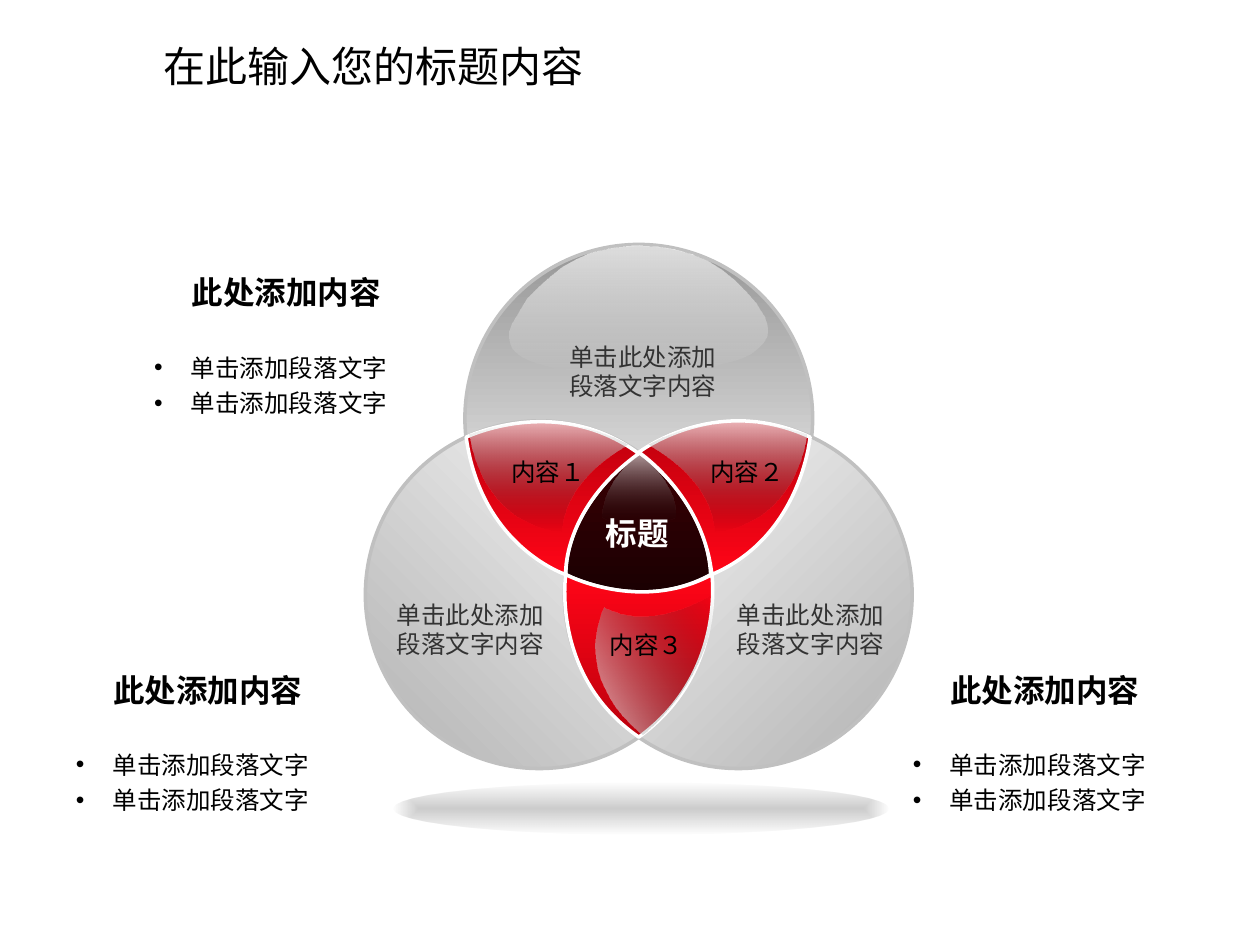
from lxml.etree import SubElement as Sub
from pptx import Presentation
from pptx.dml.color import RGBColor as Rgb
from pptx.enum.shapes import MSO_SHAPE as Preset
from pptx.enum.text import MSO_AUTO_SIZE as AutoSize, PP_ALIGN as Align
from pptx.oxml.ns import qn
from pptx.util import Inches, Pt

COLUMNS, ROWS = 100, 75
CELL = Inches(10) // COLUMNS
AXIS = 50.65
FONT = "Arial"
COLORS = {
    "white": "FFFFFF", "black": "000000", "text": "333333", "rim": "C0C0C0",
    "gray": "969696", "silver": "B2B2B2", "red": "FF0517", "crimson": "BC000D",
    "maroon": "3A0004", "night": "1B0002",
}
DISC = 27.6
DISCS = [
    (36.9, 19.4, "gray", "white", 90),
    (29, 33.4, "silver", "white", 315),
    (44.8, 33.4, "white", "silver", 45),
]
PETALS = [
    ("maroon", "night", [
        (50.7, 35.9), (50.7, 35.9, 56.1, 39.6, 56.4, 45.6),
        (50.8, 48.7, 44.9, 45.6, 44.9, 45.6),
        (45, 39.8, 50.7, 35.9, 50.7, 35.9)]),
    ("crimson", "red", [
        (50.7, 35.9), (50.7, 35.9, 56.8, 31.2, 64.3, 34.7),
        (64.3, 34.7, 63.6, 42.6, 56.5, 45.6),
        (55.8, 39.3, 50.7, 35.9, 50.7, 35.9)]),
    ("crimson", "red", [
        (44.9, 45.6), (44.9, 45.6, 38.2, 43.4, 37, 34.7),
        (37, 34.7, 44.2, 31.2, 50.7, 36),
        (44.6, 40.4, 44.9, 45.6, 44.9, 45.6)]),
    ("red", "crimson", [
        (44.9, 45.6), (44.9, 45.6, 50.8, 48.7, 56.5, 45.6),
        (56.5, 45.6, 57.6, 53.5, 50.7, 58.5),
        (43.7, 53.7, 44.9, 45.6, 44.9, 45.6)]),
]
DOME = [
    (60.6, 25.1), (60.8, 25.7), (60.9, 26.2), (60.8, 26.7), (60.5, 27.2),
    (60.1, 27.6), (59.6, 28), (59, 28.3), (58.2, 28.6), (57.3, 28.8),
    (56.4, 29.1), (55.4, 29.2), (54.3, 29.4), (53.2, 29.5), (52.7, 29.5),
    (47.8, 29.5), (46.7, 29.4), (45.8, 29.4), (44.9, 29.3), (44, 29.2),
    (43.3, 29), (42.6, 28.8), (42, 28.6), (41.4, 28.3), (41, 28),
    (40.7, 27.7), (40.5, 27.3), (40.4, 26.8), (40.4, 26.3), (40.6, 25.7),
    (41.2, 24.7), (41.8, 23.7), (42.7, 22.8), (43.6, 22), (44.6, 21.2),
    (45.7, 20.6), (46.8, 20.1), (48.1, 19.8), (49.4, 19.6), (50.7, 19.5),
    (52.2, 19.6), (53.5, 19.8), (54.9, 20.2), (56.1, 20.7), (57.2, 21.4),
    (58.2, 22.2), (59.1, 23.1), (59.9, 24)]
CENTER_GLOSS = [
    (50.7, 36.1), (50.7, 36.1, 47.9, 37.9, 47.8, 41),
    (50.6, 42.6, 53.6, 41, 53.6, 41),
    (53.6, 38, 50.7, 36.1, 50.7, 36.1)]
WING_GLOSS = [
    (44.6, 42.2), (42.5, 42, 38.4, 40.7, 37.3, 34.5),
    (37.3, 34.5, 43.9, 31.9, 49.8, 35.3),
    (44.3, 38.4, 44.6, 42.2, 44.6, 42.2)]
LOWER_GLOSS = [
    (48, 48.2), (47.1, 50.1, 46.2, 54.3, 51, 58.3),
    (51, 58.3, 56.6, 53.9, 56.6, 47.1),
    (51.1, 50.4, 48, 48.2, 48, 48.2)]
CAPTIONS = [(57.5, 47.1), (30.5, 47.1), (44.2, 26.64)]
OVERLAPS = [("内容１", 39.6, 35.75), ("内容２", 55.4, 35.75), ("内容３", 47.4, 49.5)]
NOTES = [(11.36, 21.2, 27.04), (5.15, 52.74, 58.54), (71.56, 52.74, 58.54)]


def cells(*values):
    """Convert grid cells to lengths."""
    return [round(value * CELL) for value in values]


def paint_gradient(shape, stops, angle=None):
    """Fill a shape with (color, opacity) stops, linear or from the center."""
    shape.fill.background()
    blank = shape.element.spPr.find(qn("a:noFill"))
    grad = blank.makeelement(qn("a:gradFill"), {"rotWithShape": "1"})
    blank.getparent().replace(blank, grad)
    listing = Sub(grad, qn("a:gsLst"))
    for position, (name, opacity) in zip((0, 100000), stops):
        stop = Sub(listing, qn("a:gs"), pos=str(position))
        color = Sub(stop, qn("a:srgbClr"), val=COLORS[name])
        if opacity < 100:
            Sub(color, qn("a:alpha"), val=str(opacity * 1000))
    if angle is None:
        route = Sub(grad, qn("a:path"), path="rect")
        Sub(route, qn("a:fillToRect"), l="50000", t="50000", r="50000", b="50000")
    else:
        Sub(grad, qn("a:lin"), ang=str(angle * 60000), scaled="0")


def finish(shape, stops, angle=None, edge=None):
    """Set gradient, outline and no shadow."""
    shape.shadow.inherit = False
    paint_gradient(shape, stops, angle)
    if edge:
        shape.line.color.rgb = Rgb.from_string(COLORS[edge])
        shape.line.width = Pt(2)
    else:
        shape.line.fill.background()


def add_ellipse(page, left, top, width, height, *style):
    """Add a gradient ellipse."""
    box = cells(left, top, width, height)
    finish(page.shapes.add_shape(Preset.OVAL, *box), *style)


def pairs(segment):
    """Split a flat run of coordinates into points."""
    return list(zip(segment[::2], segment[1::2]))


def extent(segments):
    """Find the top left and bottom right of an outline."""
    points = [segments[0]]
    for segment in segments[1:]:
        corners = [points[-1], *pairs(segment)]
        if len(corners) == 2:
            points += corners[1:]
            continue
        for step in range(1, 17):
            t = step / 16
            u = 1 - t
            weights = (u ** 3, 3 * u * u * t, 3 * u * t * t, t ** 3)
            points.append(tuple(sum(w * v for w, v in zip(weights, axis))
                                for axis in zip(*corners)))
    return [tuple(cells(*map(pick, zip(*points)))) for pick in (min, max)]


def add_outline(page, segments, *style):
    """Add a closed gradient outline of straight and cubic segments."""
    (left, top), (right, bottom) = extent(segments)
    builder = page.shapes.build_freeform(left, top)
    builder.add_line_segments([(right, bottom)], close=False)
    shape = builder.convert_to_shape()
    route = next(shape.element.iter(qn("a:path")))
    for part in list(route):
        route.remove(part)
    kinds = {2: "a:lnTo", 6: "a:cubicBezTo"}
    for index, segment in enumerate(segments):
        part = Sub(route, qn(kinds[len(segment)] if index else "a:moveTo"))
        for point in pairs(segment):
            x, y = cells(*point)
            Sub(part, qn("a:pt"), x=str(x - left), y=str(y - top))
    Sub(route, qn("a:close"))
    finish(shape, *style)


def mirror(segments):
    """Reflect an outline about the vertical axis."""
    return [tuple(value if index % 2 else 2 * AXIS - value
                  for index, value in enumerate(segment)) for segment in segments]


def add_text(page, lines, place, size=14, color="black", bold=False, wrap=True):
    """Add a text box and return its paragraphs."""
    frame = page.shapes.add_textbox(*cells(*place)).text_frame
    frame.text = "\n".join(lines)
    frame.word_wrap = wrap
    frame.auto_size = AutoSize.SHAPE_TO_FIT_TEXT
    for para in frame.paragraphs:
        for span in para.runs:
            span.font.name, span.font.size, span.font.bold = FONT, Pt(size), bold
            span.font.color.rgb = Rgb.from_string(COLORS[color])
    return frame.paragraphs


def add_bullet(para):
    """Give a paragraph a hanging bullet."""
    para.line_spacing = 1.2
    props = para._p.get_or_add_pPr()
    props.set("marL", str(Inches(0.29)))
    props.set("indent", str(-Inches(0.29)))
    Sub(Sub(props, qn("a:buClr")), qn("a:srgbClr"), val=COLORS["black"])
    Sub(props, qn("a:buFont"), typeface=FONT)
    Sub(props, qn("a:buChar"), char="•")


def add_note(page, left, top, list_top):
    """Add a heading with its bulleted list."""
    heading, = add_text(page, ["此处添加内容"], (left, top, 22.7, 4), 18, bold=True)
    heading.alignment, heading.space_before = Align.CENTER, Pt(11.2)
    place = (left - 0.1, list_top, 23.4, 6.6)
    for para in add_text(page, ["单击添加段落文字"] * 2, place):
        add_bullet(para)


def add_diagram(page):
    """Draw the three discs, their overlaps and the glossy lights."""
    for left, top, first, last, angle in DISCS:
        add_ellipse(page, left, top, DISC, DISC,
                    [(first, 100), (last, 100)], angle, "rim")
    for first, last, petal in PETALS:
        add_outline(page, petal, [(first, 100), (last, 100)], 90, "white")
    add_outline(page, DOME, [("white", 70), ("white", 0)], 90)
    add_ellipse(page, 31.2, 62.1, 39.3, 4.1, [("black", 20), ("black", 0)])
    add_outline(page, CENTER_GLOSS, [("white", 60), ("black", 0)], 90)
    for gloss, angle in ((WING_GLOSS, 90), (mirror(WING_GLOSS), 90), (LOWER_GLOSS, 330)):
        add_outline(page, gloss, [("white", 70), ("black", 0)], angle)


def main():
    """Build the slide and save it."""
    deck = Presentation()
    deck.slide_width, deck.slide_height = cells(COLUMNS, ROWS)
    page = deck.slides.add_slide(deck.slide_layouts[6])
    add_diagram(page)
    for words, left, top in OVERLAPS:
        add_text(page, [words], (left, top, 7.9, 3.4), wrap=False)
    add_text(page, ["标题"], (47.1, 40.3, 7, 4), 18, "white", True, False)
    for left, top in CAPTIONS:
        add_text(page, ["单击此处添加段落文字内容"], (left, top, 14, 5.7), color="text")
    for note in NOTES:
        add_note(page, *note)
    add_text(page, ["在此输入您的标题内容"], (12, 2.7, 52.6, 5), 24)
    deck.save("out.pptx")


if __name__ == "__main__":
    main()
